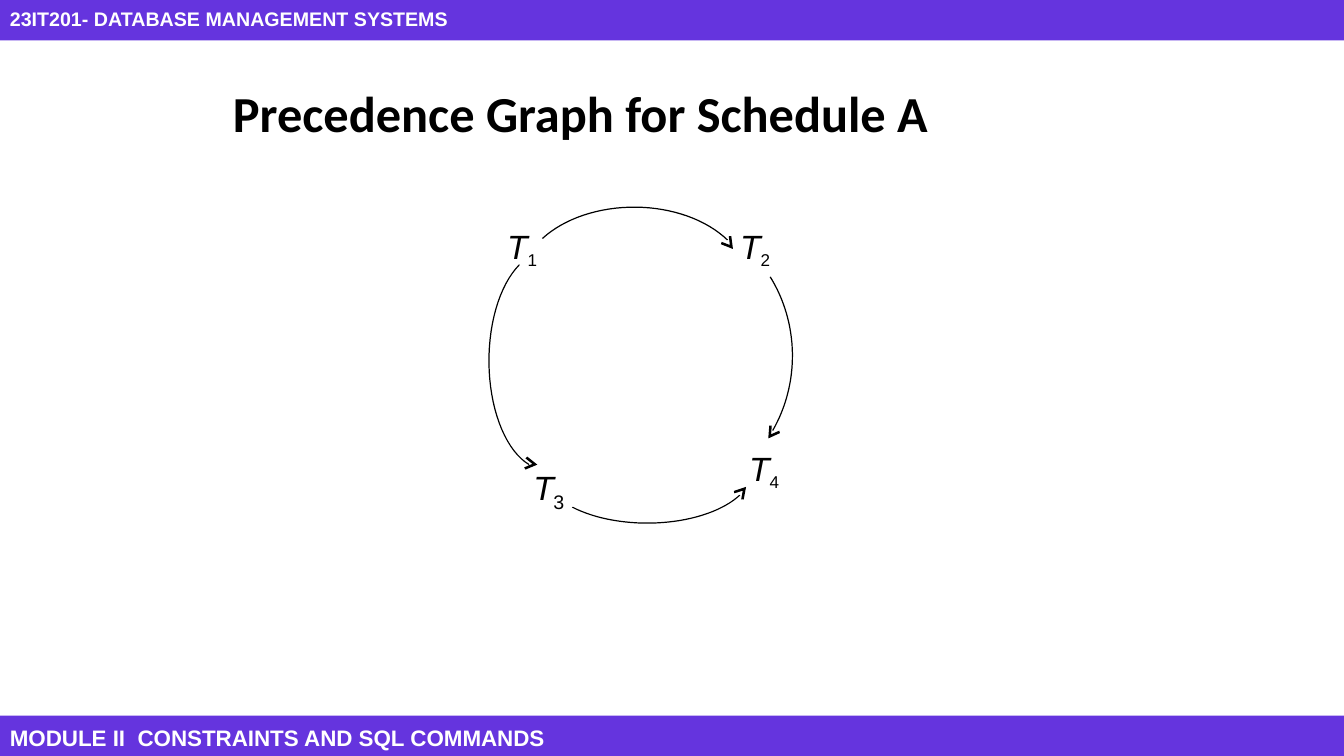
from math import cos, radians, sin

from pptx import Presentation
from pptx.dml.color import RGBColor
from pptx.enum.shapes import MSO_SHAPE as Shape
from pptx.enum.text import MSO_ANCHOR as Anchor, PP_ALIGN as Align
from pptx.util import Inches, Pt

BLACK = RGBColor(0x00, 0x00, 0x00)
WHITE = RGBColor(0xFF, 0xFF, 0xFF)
VIOLET = RGBColor(0x65, 0x34, 0xDE)

ARC_STEPS = 32
ARC_WIDTH = 0.012
# Arrowhead pointing right, with its tip at the origin
HEAD = [(0, 0), (-0.11, 0.065), (-0.125, 0.045), (-0.05, 0),
        (-0.125, -0.045), (-0.11, -0.065)]


def ellipse_points(center, radii, start, end):
    """Points along an ellipse, in degrees clockwise from the right."""
    angles = [radians(start + (end - start) * step / ARC_STEPS)
              for step in range(ARC_STEPS + 1)]
    return [(center[0] + radii[0] * cos(angle), center[1] + radii[1] * sin(angle))
            for angle in angles]


def head_points(tip, direction):
    turn = radians(direction)
    return [(tip[0] + x * cos(turn) - y * sin(turn),
             tip[1] + x * sin(turn) + y * cos(turn)) for x, y in HEAD]


class GraphSlide:
    """Holds the text style and the page being drawn."""

    def __init__(self, page):
        self.page = page
        self.style = {"name": "Arial", "size": Pt(24), "bold": False, "italic": False}

    def add_span(self, para, text, color=BLACK, baseline=None, **changes):
        span = para.add_run()
        span.text = text
        for key, value in {**self.style, **changes}.items():
            setattr(span.font, key, value)
        span.font.color.rgb = color
        if baseline is not None:
            span.font._element.set("baseline", str(baseline * 1000))

    def add_text(self, left, top, width, height, indent=0.01, anchor=Anchor.TOP):
        """Add a text box and return its first paragraph."""
        box = self.page.shapes.add_textbox(
            Inches(left), Inches(top), Inches(width), Inches(height))
        frame = box.text_frame
        settings = {"word_wrap": True, "vertical_anchor": anchor,
                    "margin_left": Inches(indent), "margin_top": Inches(0.02),
                    "margin_right": 0, "margin_bottom": 0}
        for key, value in settings.items():
            setattr(frame, key, value)
        return frame.paragraphs[0]

    def add_node(self, left, top, number):
        para = self.add_text(left, top, 0.39, 0.43, indent=0.04)
        self.add_span(para, "T", italic=True)
        self.add_span(para, number, size=Pt(21), baseline=-24)

    def add_edge(self, center, radii, start, end, tip, direction):
        """Add a thin elliptical arc with an arrowhead as one filled outline."""
        half = ARC_WIDTH / 2
        outer, inner = (
            ellipse_points(center, [radius + shift for radius in radii], start, end)
            for shift in (half, -half))
        contours = [[(Inches(x), Inches(y)) for x, y in points]
                    for points in (outer + inner[::-1], head_points(tip, direction))]
        builder = self.page.shapes.build_freeform(*contours[0][0])
        builder.add_line_segments(contours[0][1:], close=True)
        builder.move_to(*contours[1][0])
        builder.add_line_segments(contours[1][1:], close=True)
        self.paint(builder.convert_to_shape(), BLACK)

    def add_band(self, top, height, text, size):
        band = self.page.shapes.add_shape(
            Shape.RECTANGLE, 0, Inches(top), Inches(13.33), Inches(height))
        self.paint(band, VIOLET)
        band.text_frame.vertical_anchor = Anchor.MIDDLE
        para = band.text_frame.paragraphs[0]
        para.alignment = Align.LEFT
        self.add_span(para, text, color=WHITE, size=Pt(size), bold=True)

    def paint(self, shape, color):
        shape.shadow.inherit = False
        shape.fill.solid()
        shape.fill.fore_color.rgb = color
        shape.line.fill.background()


def main():
    deck = Presentation()
    deck.slide_width, deck.slide_height = Inches(13.33), Inches(7.5)
    graph = GraphSlide(deck.slides.add_slide(deck.slide_layouts[6]))

    title = graph.add_text(2.3, 0.79, 8.5, 0.62, anchor=Anchor.MIDDLE)
    graph.add_span(title, "Precedence Graph for Schedule A",
                   name="Calibri", size=Pt(36), bold=True)

    for left, top, number in [(4.99, 2.22, "1"), (7.3, 2.22, "2"), (7.39, 4.42, "4")]:
        graph.add_node(left, top, number)
    graph.add_span(graph.add_text(5.28, 4.61, 0.23, 0.43), "T", italic=True)
    graph.add_span(graph.add_text(5.48, 4.84, 0.14, 0.25), "3", size=Pt(14))

    # Center, radii, start and end angle, arrow tip, arrow direction
    edges = [
        ((6.29, 2.82), (1.13, 0.765), 216.4, 325, (7.27, 2.47), 52),
        ((5.42, 3.58), (0.57, 1.08), 242, 107.5, (5.33, 4.61), 8),
        ((6.57, 3.53), (1.29, 1.4), -34, 32, (7.62, 4.35), 125),
        ((6.42, 4.65), (1.05, 0.54), 135, 29, (7.4, 4.83), -49),
    ]
    for edge in edges:
        graph.add_edge(*edge)

    graph.add_band(-0.02, 0.42, "23IT201- DATABASE MANAGEMENT SYSTEMS", 14)
    graph.add_band(7.1, 0.44, "MODULE II  CONSTRAINTS AND SQL COMMANDS", 16)
    deck.save("out.pptx")


if __name__ == "__main__":
    main()
